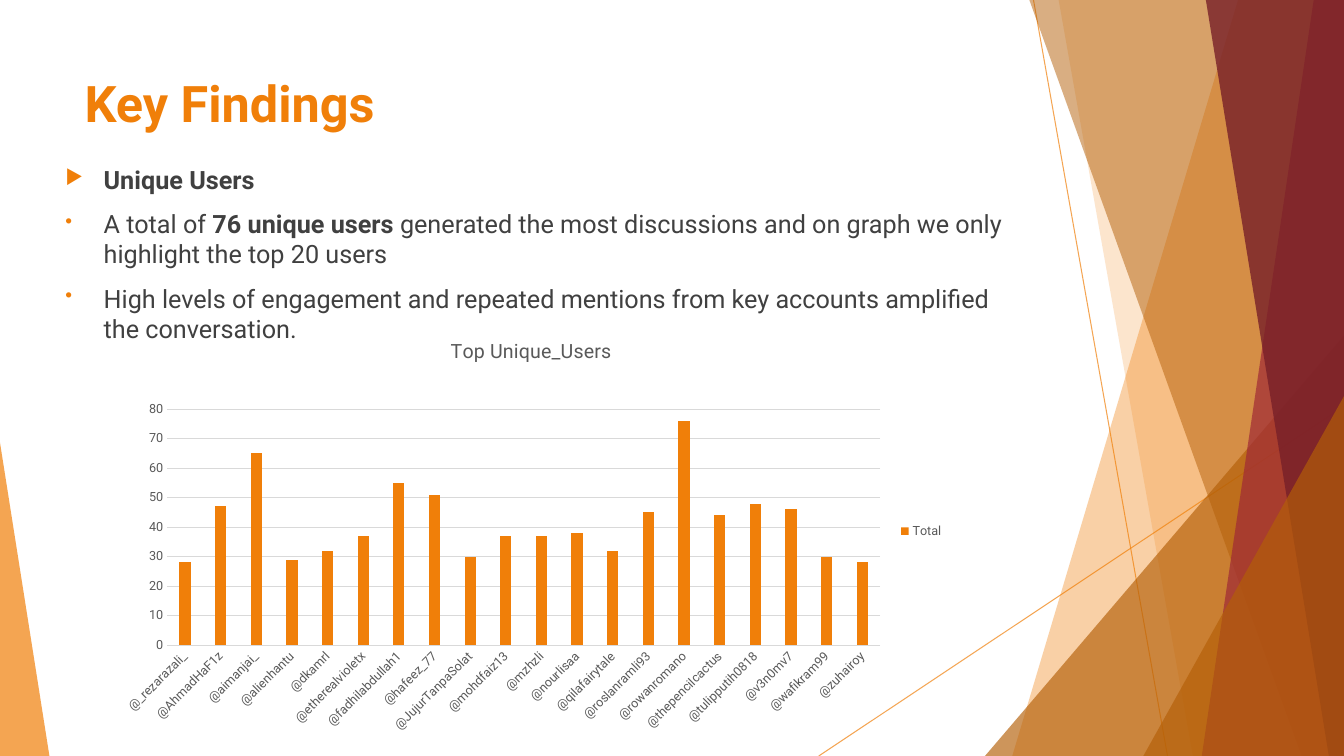
from lxml.etree import SubElement
from pptx import Presentation
from pptx.chart.data import CategoryChartData
from pptx.dml.color import RGBColor
from pptx.enum.chart import XL_CHART_TYPE as ChartType, XL_LEGEND_POSITION as LegendPosition, XL_TICK_MARK as TickMark
from pptx.enum.shapes import MSO_CONNECTOR as Connector, MSO_SHAPE as Shape
from pptx.oxml import parse_xml
from pptx.oxml.ns import nsdecls, qn
from pptx.util import Inches, Pt

COLORS = {
    "orange": "F07F09", "brown": "B45F07", "red": "9F2936", "maroon": "771F28",
    "text": "404040", "label": "595959", "rule": "D9D9D9", "white": "FFFFFF",
}

USERS = {
    "@_rezarazali_": 28, "@AhmadHaF1z": 47, "@aimanjai_": 65, "@alienhantu": 29,
    "@dkamrl": 32, "@etherealvioletx": 37, "@fadhilabdullah1": 55, "@hafeez_77": 51,
    "@JujurTanpaSolat": 30, "@mohdfaiz13": 37, "@mzhzli": 37, "@nourlisaa": 38,
    "@qilafairytale": 32, "@roslanramli93": 45, "@rowanromano": 76, "@thepencilcactus": 44,
    "@tulipputih0818": 48, "@v3n0mv7": 46, "@wafikram99": 30, "@zuhairoy": 28,
}

FINDINGS = [
    ("▶", [("Unique Users", True)]),
    ("•", [("A total of ", False), ("76 unique users", True),
           (" generated the most discussions and on graph we only highlight the top 20 users", False)]),
    ("•", [("High levels of engagement and repeated mentions from key accounts "
            "amplified the conversation.", False)]),
]


def rgb(name):
    """Return the named colour."""
    return RGBColor.from_string(COLORS[name])


class FindingsSlide:
    """Draws on one slide, with lengths in percent of its width and height."""

    font = "Roboto"

    def __init__(self, deck):
        """Add a blank white slide to the deck."""
        self.width, self.height = deck.slide_width, deck.slide_height
        self.slide = deck.slides.add_slide(deck.slide_layouts[6])
        self.shapes = self.slide.shapes
        self.slide.background.fill.solid()
        self.slide.background.fill.fore_color.rgb = rgb("white")

    def place(self, *shares):
        """Turn alternating horizontal and vertical shares into lengths."""
        sides = (self.width, self.height)
        return [round(share * sides[i % 2] / 100) for i, share in enumerate(shares)]

    def style(self, font, size, color, bold=False):
        """Set the typeface, size, colour and weight of a font."""
        font.name, font.size, font.bold = self.font, Pt(size), bold
        font.color.rgb = rgb(color)

    def opacity(self, fill, percent):
        """Make a solid colour see-through."""
        color = fill.find(".//" + qn("a:srgbClr"))
        SubElement(color, qn("a:alpha")).set("val", str(percent * 1000))

    def paint(self, facet, color, percent):
        """Fill a facet with a see-through colour and no outline."""
        facet.shadow.inherit = False
        facet.fill.solid()
        facet.fill.fore_color.rgb = rgb(color)
        facet.line.fill.background()
        self.opacity(facet._element.spPr.find(qn("a:solidFill")), percent)

    def ray(self, *ends):
        """Draw a thin orange line."""
        ray = self.shapes.add_connector(Connector.STRAIGHT, *self.place(*ends))
        ray.line.color.rgb = rgb("orange")
        ray.line.width = Pt(0.75)
        properties = ray._element.spPr
        self.opacity(properties.find(qn("a:ln")), 70)
        SubElement(properties, qn("a:effectLst"))

    def ribbon(self, top, bottom, color, percent):
        """Fill the area between a slanted edge and the slide's right side."""
        outline = self.shapes.build_freeform(*self.place(top, 0))
        corners = [(100, 0), (100, 100), (bottom, 100)]
        outline.add_line_segments([tuple(self.place(*corner)) for corner in corners])
        self.paint(outline.convert_to_shape(), color, percent)

    def corner(self, left, top, width, tip, color, percent):
        """Draw a right triangle that stands on the slide's bottom edge."""
        box = self.place(left, top, width, 100 - top)
        triangle = self.shapes.add_shape(Shape.ISOSCELES_TRIANGLE, *box)
        triangle.adjustments[0] = tip
        self.paint(triangle, color, percent)

    def text_frame(self, *box):
        """Add a wrapping text box and return its frame."""
        frame = self.shapes.add_textbox(*self.place(*box)).text_frame
        frame.word_wrap = True
        return frame

    def title(self, text, *box):
        """Write the slide's heading."""
        frame = self.text_frame(*box)
        frame.text = text
        self.style(frame.paragraphs[0].runs[0].font, 36, "orange", True)

    def bullets(self, items, *box):
        """Write bulleted paragraphs with runs of mixed weight."""
        frame = self.text_frame(*box)
        for index, (mark, pieces) in enumerate(items):
            paragraph = frame.add_paragraph() if index else frame.paragraphs[0]
            paragraph.space_before = Pt(10)
            for words, bold in pieces:
                run = paragraph.add_run()
                run.text = words
                self.style(run.font, 18, "text", bold)
            self.bullet(paragraph, mark)

    def bullet(self, paragraph, mark):
        """Give a paragraph an orange bullet and a hanging indent."""
        properties = paragraph._p.get_or_add_pPr()
        properties.set("marL", str(Inches(0.38)))
        properties.set("indent", str(-Inches(0.38)))
        color = SubElement(properties, qn("a:buClr"))
        SubElement(color, qn("a:srgbClr")).set("val", COLORS["orange"])
        SubElement(properties, qn("a:buSzPct")).set("val", "80000")
        SubElement(properties, qn("a:buChar")).set("char", mark)

    def fix_layout(self, part, index, target=None, **shares):
        """Place a part of a chart by percent of the chart's size."""
        for old in part.findall(qn("c:layout")):
            part.remove(old)
        layout = parse_xml(f"<c:layout {nsdecls('c')}><c:manualLayout/></c:layout>")
        values = {"layoutTarget": target} if target else {}
        values.update(xMode="edge", yMode="edge")
        values.update((side, share / 100) for side, share in shares.items())
        for tag, value in values.items():
            SubElement(layout[0], qn(f"c:{tag}")).set("val", str(value))
        part.insert(index, layout)

    def columns(self, heading, series, values, *box):
        """Draw a column chart of values by name."""
        data = CategoryChartData()
        data.categories = list(values)
        data.add_series(series, list(values.values()))
        chart = self.shapes.add_chart(ChartType.COLUMN_CLUSTERED, *self.place(*box), data).chart
        chart.font.name, chart.font.size = self.font, Pt(10)

        chart.has_title = True
        chart.chart_title.text_frame.text = heading
        self.style(chart.chart_title.text_frame.paragraphs[0].runs[0].font, 14, "label")
        self.fix_layout(chart.chart_title._element, 1, x=40.1, y=3)
        self.fix_layout(chart._chartSpace.chart.plotArea, 0, "inner", x=7, y=20.9, w=84.3, h=56.3)

        chart.has_legend = True
        chart.legend.position = LegendPosition.RIGHT
        chart.legend.include_in_layout = False
        self.style(chart.legend.font, 9, "label")

        names, counts = chart.category_axis, chart.value_axis
        for axis in (names, counts):
            axis.major_tick_mark = axis.minor_tick_mark = TickMark.NONE
            self.style(axis.tick_labels.font, 9, "label")
        names._element.find(qn("c:txPr")).find(qn("a:bodyPr")).set("rot", "-2700000")
        counts.minimum_scale, counts.maximum_scale, counts.major_unit = 0, 80, 10
        counts.format.line.fill.background()
        for rule in (names.format.line, counts.major_gridlines.format.line):
            rule.color.rgb = rgb("rule")
            rule.width = Pt(0.75)

        plot = chart.plots[0]
        plot.gap_width, plot.overlap, plot.vary_by_categories = 219, -27, False
        plot.series[0].format.fill.solid()
        plot.series[0].format.fill.fore_color.rgb = rgb("orange")


def main():
    """Build and save the slide."""
    deck = Presentation()
    deck.slide_width, deck.slide_height = Inches(13.33), Inches(7.5)
    page = FindingsSlide(deck)

    page.ray(76.9, 0, 86.87, 100)
    page.ray(100, 53.73, 60.92, 100)
    page.ribbon(92.12, 75.32, "orange", 36)
    page.ribbon(78.77, 88.75, "orange", 20)
    page.corner(73.29, 44.4, 26.71, 1, "brown", 66)
    page.ribbon(76.59, 96.85, "brown", 50)
    page.ribbon(97.75, 89.42, "red", 70)
    page.ribbon(89.72, 98.87, "maroon", 80)
    page.corner(85.07, 52.4, 14.93, 1, "brown", 66)
    page.corner(0, 58.53, 3.68, 0, "orange", 70)

    page.title("Key Findings", 5.55, 8.93, 70.52, 19.2)
    page.bullets(FINDINGS, 4.13, 21.07, 71.94, 24.8)
    page.columns("Top Unique_Users", "Total", USERS, 8.03, 42.53, 62.94, 55.47)
    deck.save("out.pptx")


if __name__ == "__main__":
    main()
